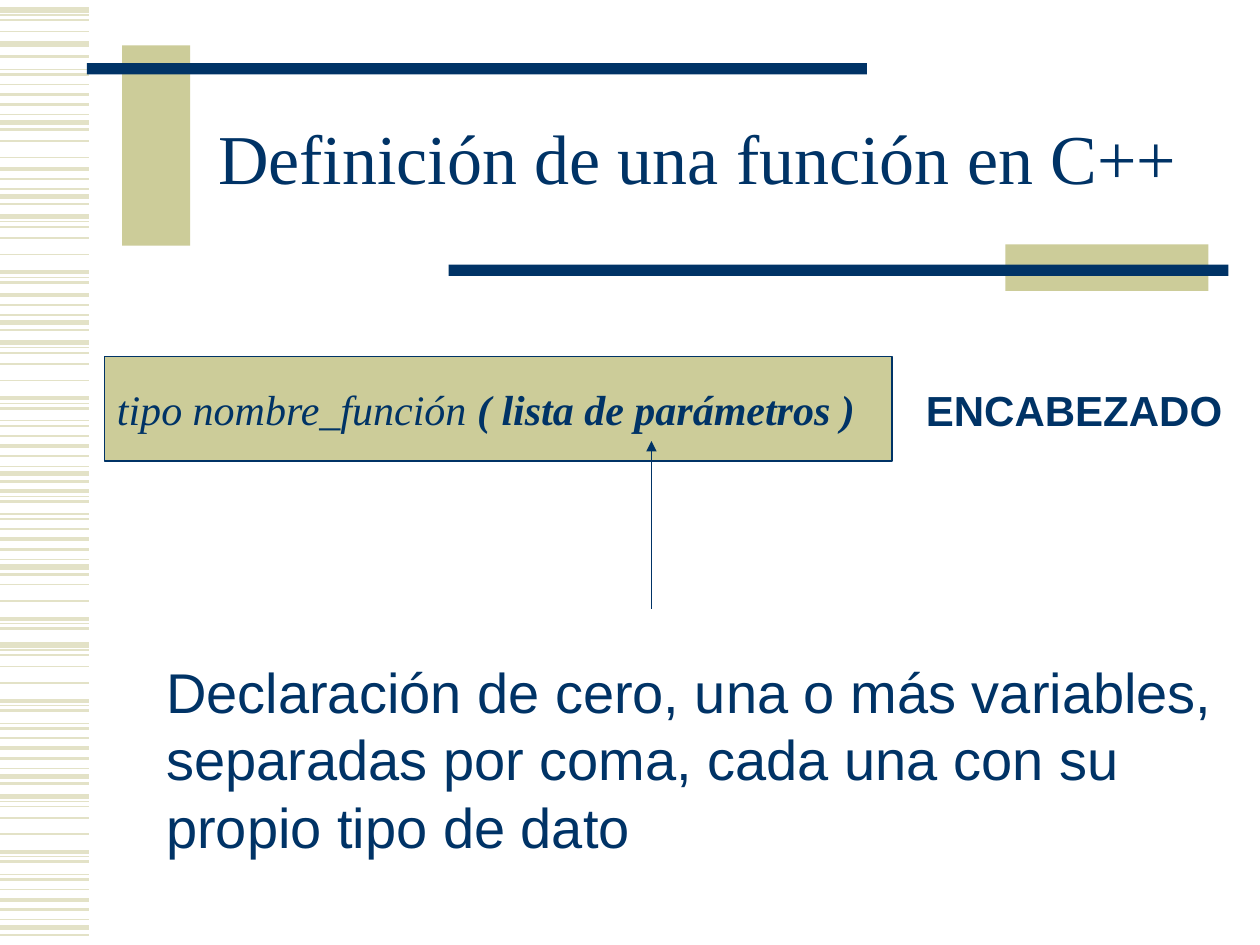
"""Build the slide on the header of a C++ function definition."""
from typing import NamedTuple

from lxml import etree
from pptx import Presentation
from pptx import util as u
from pptx.dml.color import RGBColor
from pptx.enum import shapes, text
from pptx.oxml import ns

EMU_PER_PX = 9144
NAVY = RGBColor(0x00, 0x33, 0x66)
KHAKI = RGBColor(0xCC, 0xCC, 0x99)
PALE_KHAKI = RGBColor(0xE3, 0xE2, 0xC7)
SERIF, SANS = "Times New Roman", "Arial"
STRIPE_LENGTH = 71


class Box(NamedTuple):
    left: int
    top: int
    width: int
    height: int


class Bar(NamedTuple):
    box: Box
    color: RGBColor


class Stripe(NamedTuple):
    offset: int
    weight: float


class StripeRun(NamedTuple):
    origin: int
    first: int = 0
    stop: int = 16


class Words(NamedTuple):
    value: str
    bold: bool = False


class Copy(NamedTuple):
    paragraphs: list[list[Words]]
    font: str
    size: int
    italic: bool = False
    align: text.PP_ALIGN = text.PP_ALIGN.LEFT
    anchor: text.MSO_ANCHOR = text.MSO_ANCHOR.TOP
    wrap: bool = True
    grow: bool = False
    line_spacing: float = 1.0


MOTIF = [
    Stripe(0, 3), Stripe(4, 0.75), Stripe(8, 1), Stripe(17, 1),
    Stripe(30, 1), Stripe(44, 2.25), Stripe(48, 0.75), Stripe(52, 1.5),
    Stripe(62, 0.75), Stripe(66, 1.5), Stripe(74, 1), Stripe(82, 2.25),
    Stripe(90, 1.5), Stripe(98, 0.75), Stripe(104, 3), Stripe(110, 1.5),
]
STRIPE_RUNS = [
    StripeRun(8, 0, 4), StripeRun(35, 0, 1), StripeRun(-7, 7),
    StripeRun(95, 3, 5), StripeRun(52, 11), StripeRun(172, 0, 8),
    StripeRun(152, 11), StripeRun(272), StripeRun(346, 5),
    StripeRun(447, 3, 8), StripeRun(512), StripeRun(632),
]
BARS = [
    Bar(Box(97, 36, 54, 159), KHAKI),
    Bar(Box(69, 50, 619, 9), NAVY),
    Bar(Box(798, 194, 161, 37), KHAKI),
    Bar(Box(356, 210, 619, 9), NAVY),
]
TITLE = Copy([[Words("Definición de una función en C++")]], SERIF, 40,
             align=text.PP_ALIGN.CENTER, anchor=text.MSO_ANCHOR.MIDDLE,
             line_spacing=0.85)
SYNTAX = Copy([[Words("tipo nombre_función "), Words("( lista de parámetros )", True)]],
              SERIF, 24, italic=True, anchor=text.MSO_ANCHOR.MIDDLE, wrap=False)
HEADER_LABEL = Copy([[Words("ENCABEZADO", True)]], SANS, 24, wrap=False, grow=True)
EXPLANATION = Copy([
    [Words("Declaración de cero, una o más variables,")],
    [Words("separadas por coma, cada una con su")],
    [Words("propio tipo de dato")],
], SANS, 32, grow=True)


def px(length: int) -> u.Emu:
    """Turn px into EMU."""
    return u.Emu(length * EMU_PER_PX)


def place(box: Box) -> list[u.Emu]:
    """Turn a box into EMU."""
    return [px(length) for length in box]


def draw_line(slide, start: tuple[int, int], end: tuple[int, int],
              color: RGBColor, weight: float):
    """Draw a straight line without shadow."""
    line = slide.shapes.add_connector(shapes.MSO_CONNECTOR.STRAIGHT,
                                      *map(px, start + end))
    line.line.color.rgb = color
    line.line.width = u.Pt(weight)
    etree.SubElement(line._element.spPr, ns.qn("a:effectLst"))
    return line


def draw_arrow(slide, start: tuple[int, int], end: tuple[int, int]) -> None:
    """Draw a thin line with a triangle at its end."""
    arrow = draw_line(slide, start, end, NAVY, 0.75)
    etree.SubElement(arrow.line._get_or_add_ln(), ns.qn("a:tailEnd"), type="triangle")


def draw_stripes(slide, run: StripeRun) -> None:
    """Draw part of the stripe motif down the left margin."""
    for stripe in MOTIF[run.first:run.stop]:
        height = run.origin + stripe.offset
        draw_line(slide, (0, height), (STRIPE_LENGTH, height), PALE_KHAKI, stripe.weight)


def draw_bar(slide, bar: Bar):
    """Draw a filled rectangle without outline."""
    rectangle = slide.shapes.add_shape(shapes.MSO_SHAPE.RECTANGLE, *place(bar.box))
    rectangle.shadow.inherit = False
    rectangle.fill.solid()
    rectangle.fill.fore_color.rgb = bar.color
    rectangle.line.fill.background()
    return rectangle


def write(frame, copy: Copy) -> None:
    """Fill a text frame."""
    frame.word_wrap = copy.wrap
    frame.vertical_anchor = copy.anchor
    frame.auto_size = (text.MSO_AUTO_SIZE.SHAPE_TO_FIT_TEXT if copy.grow
                       else text.MSO_AUTO_SIZE.NONE)
    for index, line in enumerate(copy.paragraphs):
        paragraph = frame.add_paragraph() if index else frame.paragraphs[0]
        paragraph.alignment = copy.align
        paragraph.line_spacing = copy.line_spacing
        font = paragraph.font
        font.name, font.size, font.italic = copy.font, u.Pt(copy.size), copy.italic
        font.color.rgb = NAVY
        font.bold = all(words.bold for words in line)
        for words in line:
            run = paragraph.add_run()
            run.text = words.value
            if words.bold != font.bold:
                run.font.bold = words.bold


def draw_text(slide, box: Box, copy: Copy) -> None:
    """Draw a text box."""
    write(slide.shapes.add_textbox(*place(box)).text_frame, copy)


def main() -> None:
    """Build and save the slide."""
    deck = Presentation()
    deck.slide_width, deck.slide_height = px(1000), px(750)
    slide = deck.slides.add_slide(deck.slide_layouts[6])
    for run in STRIPE_RUNS:
        draw_stripes(slide, run)
    for bar in BARS:
        draw_bar(slide, bar)
    draw_text(slide, Box(150, 67, 807, 125), TITLE)
    syntax_box = draw_bar(slide, Bar(Box(83, 283, 625, 83), KHAKI))
    syntax_box.line.color.rgb = NAVY
    syntax_box.line.width = u.Pt(0.75)
    write(syntax_box.text_frame, SYNTAX)
    draw_text(slide, Box(725, 300, 255, 50), HEADER_LABEL)
    draw_arrow(slide, (517, 483), (517, 350))
    draw_text(slide, Box(122, 517, 863, 170), EXPLANATION)
    deck.save("out.pptx")


if __name__ == "__main__":
    main()
